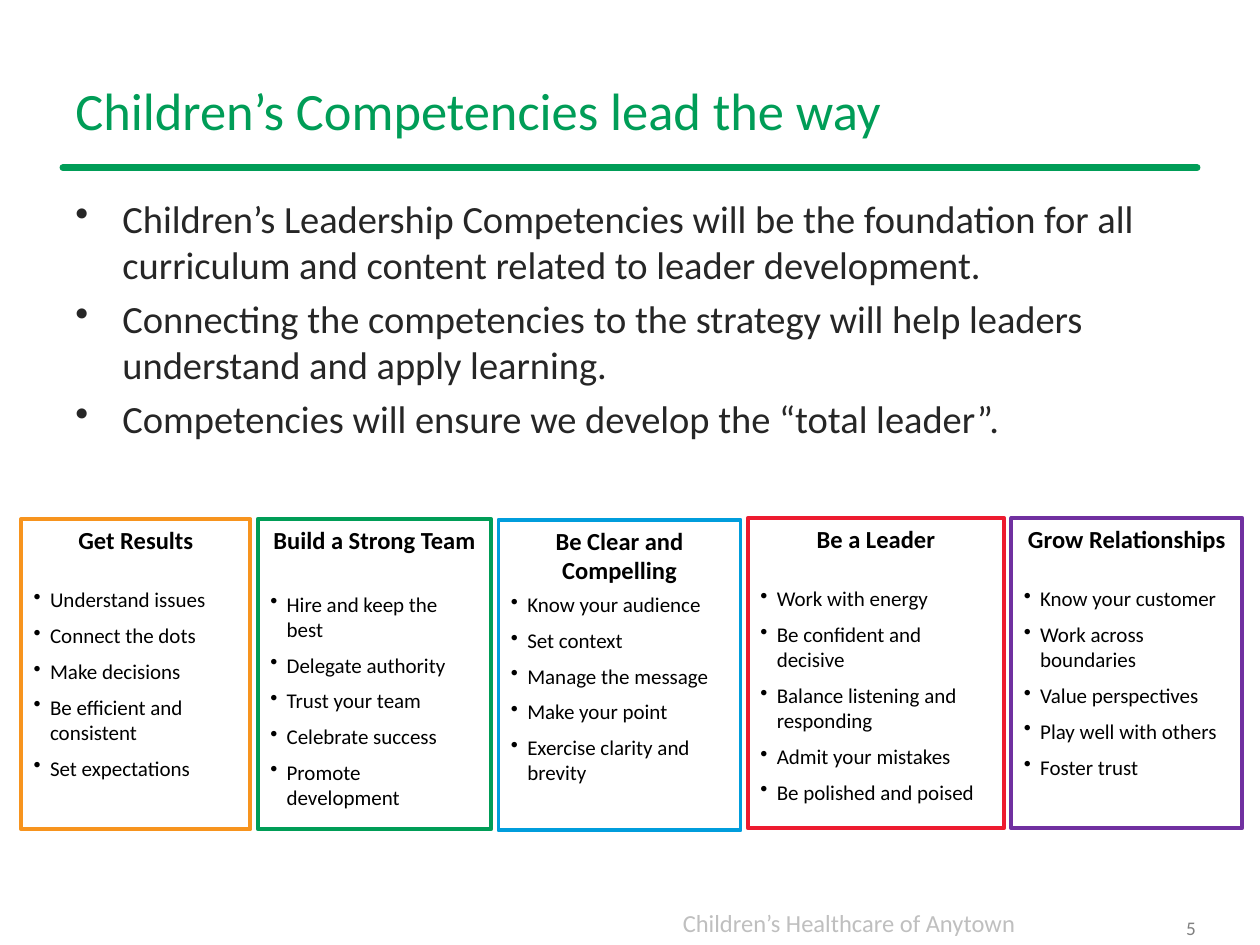
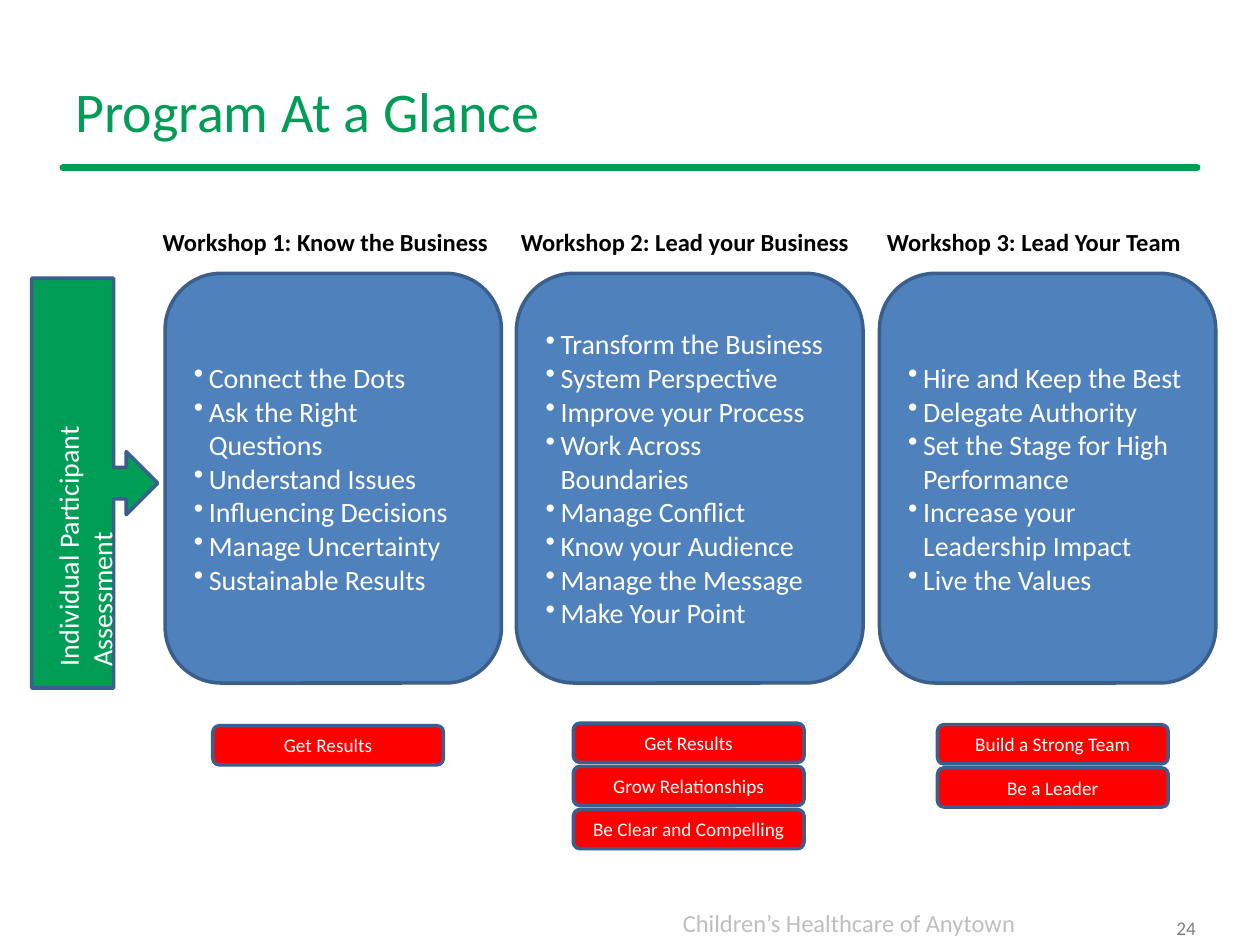
from lxml import etree
from pptx import Presentation
from pptx.dml.color import RGBColor
from pptx.enum.shapes import MSO_CONNECTOR, MSO_SHAPE
from pptx.enum.text import MSO_ANCHOR, PP_ALIGN
from pptx.oxml.ns import qn
from pptx.util import Cm, Pt

LEFT, MID, RIGHT = PP_ALIGN.LEFT, PP_ALIGN.CENTER, PP_ALIGN.RIGHT
TOP, CENTER = MSO_ANCHOR.TOP, MSO_ANCHOR.MIDDLE
RECT, ROUND = MSO_SHAPE.RECTANGLE, MSO_SHAPE.ROUNDED_RECTANGLE
CALLOUT = MSO_SHAPE.RIGHT_ARROW_CALLOUT
STRAIGHT = MSO_CONNECTOR.STRAIGHT

FONT = "Calibri"
COLORS = {
    "green": "009D57", "orange": "F7941E", "sky": "009DDC",
    "crimson": "ED1B2F", "purple": "7030A0", "blue": "4F81BD",
    "navy": "3A5F8C", "red": "FF0000", "white": "FFFFFF",
    "black": "000000", "ink": "262626", "gray": "808080", "pale": "BFBFBF",
}

# Competency cards: heading, edge, top, width, space above list, items
CARD_LEFT, CARD_GAP, CARD_HIGH = 0.43, 0.15, 6.26
CARDS = [
    ("Get Results", "orange", 10.46, 4.62, 18.6,
     ["Understand issues", "Connect the dots", "Make decisions",
      "Be efficient and consistent", "Set expectations"]),
    ("Build a Strong Team", "green", 10.46, 4.7, 21,
     ["Hire and keep the best", "Delegate authority", "Trust your team",
      "Celebrate success", "Promote\vdevelopment"]),
    ("Be Clear and Compelling", "sky", 10.48, 4.88, 4,
     ["Know your audience", "Set context", "Manage the message",
      "Make your point", "Exercise clarity and brevity"]),
    ("Be a Leader", "crimson", 10.44, 5.16, 18.6,
     ["Work with energy", "Be confident and decisive",
      "Balance listening and responding", "Admit your mistakes",
      "Be polished and poised"]),
    ("Grow Relationships", "purple", 10.44, 4.65, 18.6,
     ["Know your customer", "Work across boundaries", "Value perspectives",
      "Play well with others", "Foster trust"]),
]
GOALS = [
    "Children’s Leadership Competencies will be the foundation for all "
    "curriculum and content related to leader development.",
    "Connecting the competencies to the strategy will help leaders "
    "understand and apply learning.",
    "Competencies will ensure we develop the “total leader”.",
]

# Workshops: heading, its left, box left, box width, topics,
# tag left, first tag top, tags
TAG_STEP = 0.87
SHOPS = [
    ("Workshop 1: Know the Business", 3.03, 3.33, 6.78,
     ["Connect the Dots", "Ask the Right Questions", "Understand Issues",
      "Influencing Decisions", "Manage Uncertainty", "Sustainable Results"],
     4.29, 14.63, ["Get Results"]),
    ("Workshop 2: Lead your Business", 10.25, 10.41, 6.99,
     ["Transform the Business", "System Perspective", "Improve your Process",
      "Work Across Boundaries", "Manage Conflict", "Know your Audience",
      "Manage the Message", "Make Your Point"],
     11.56, 14.58,
     ["Get Results", "Grow Relationships", "Be Clear and Compelling"]),
    ("Workshop 3: Lead Your Team", 17.63, 17.73, 6.78,
     ["Hire and Keep the Best", "Delegate Authority",
      "Set the Stage for High Performance",
      "Increase your Leadership Impact", "Live the Values"],
     18.9, 14.61, ["Build a Strong Team", "Be a Leader"]),
]


def paint(name):
    return RGBColor.from_string(COLORS[name])


def write(frame, lines, size=12, color="black", bold=False, align=LEFT,
          indent=0, first=0, before=0, after=0):
    """Append paragraphs; an indent in cm makes them bullets."""
    for i, line in enumerate(lines):
        para = frame.paragraphs[0]
        if para.text:
            para = frame.add_paragraph()
        para.text = line
        para.alignment = align
        para.space_before = Pt(before if i else first)
        para.space_after = Pt(after)
        for run in para.runs:
            font = run.font
            font.name, font.size, font.bold = FONT, Pt(size), bold
            font.color.rgb = paint(color)
        for gap in para._p.iter(qn("a:br")):
            etree.SubElement(gap, qn("a:rPr"), sz=str(size * 100))
        if indent:
            props = para._p.get_or_add_pPr()
            props.set("marL", str(Cm(indent)))
            props.set("indent", str(-Cm(indent)))
            etree.SubElement(props, qn("a:buChar"), char="•")


def label(slide, box, lines, anchor=TOP, **style):
    item = slide.shapes.add_textbox(*map(Cm, box))
    frame = item.text_frame
    frame.word_wrap = True
    frame.vertical_anchor = anchor
    write(frame, lines, **style)
    return item


def block(slide, kind, box, fill, edge, width=2, anchor=CENTER):
    item = slide.shapes.add_shape(kind, *map(Cm, box))
    item.shadow.inherit = False
    item.fill.solid()
    item.fill.fore_color.rgb = paint(fill)
    item.line.color.rgb = paint(edge)
    item.line.width = Pt(width)
    item.text_frame.word_wrap = True
    item.text_frame.vertical_anchor = anchor
    return item.text_frame


def rule(slide):
    line = slide.shapes.add_connector(
        STRAIGHT, Cm(1.27), Cm(3.38), Cm(24.13), Cm(3.38))
    line.line.color.rgb = paint("green")
    line.line.width = Pt(4)
    line.line._get_or_add_ln().set("cap", "rnd")
    etree.SubElement(line._element.spPr, qn("a:effectLst"))


def page(deck, title, size, number):
    """Start a slide with the shared title, rule and footer."""
    slide = deck.slides.add_slide(deck.slide_layouts[6])
    rule(slide)
    label(slide, (2.74, 18.19, 17.98, 0.86),
          ["Children’s Healthcare of Anytown"],
          size=14, color="pale", align=RIGHT)
    label(slide, (1.27, 0.84, 22.86, 2.74), [title], CENTER,
          size=size, color="green")
    label(slide, (23.29, 18.19, 1.07, 1.02), [number], CENTER,
          size=11, color="gray", align=RIGHT)
    return slide


def card(slide, left, head, edge, top, width, first, items):
    frame = block(slide, RECT, (left, top, width, CARD_HIGH),
                  "white", edge, 2.25, TOP)
    write(frame, [head], size=14, bold=True, align=MID)
    write(frame, items, indent=0.33, first=first, before=4, after=2)


def shop(slide, head, start, left, width, topics, side, top, tags):
    label(slide, (start, 4.45, 7.3, 0.86), [head], size=14, bold=True)
    frame = block(slide, ROUND, (left, 5.51, width, 8.26), "blue", "navy")
    write(frame, topics, size=16, color="white", indent=0.3)
    for i, tag in enumerate(tags):
        box = (side, top + i * TAG_STEP, 4.65, 0.79)
        frame = block(slide, ROUND, box, "red", "navy")
        write(frame, [tag], size=11, color="white", align=MID)


def main():
    deck = Presentation()
    deck.slide_width, deck.slide_height = Cm(25.4), Cm(19.05)

    # Competencies
    slide = page(deck, "Children’s Competencies lead the way", 30, "5")
    label(slide, (1.27, 3.81, 22.86, 5.51), GOALS,
          size=22, color="ink", indent=0.95, before=4.4)
    left = CARD_LEFT
    for data in CARDS:
        card(slide, left, *data)
        left += data[3] + CARD_GAP

    # Program
    slide = page(deck, "Program At a Glance", 32, "24")
    for data in SHOPS:
        shop(slide, *data)
    block(slide, CALLOUT, (0.64, 5.61, 2.54, 8.26), "green", "navy")
    side = label(slide, (-2.59, 9.25, 7.92, 0.94),
                 ["Individual Participant Assessment"],
                 size=16, color="white")
    side.rotation = 270

    deck.save("out.pptx")


if __name__ == "__main__":
    main()
